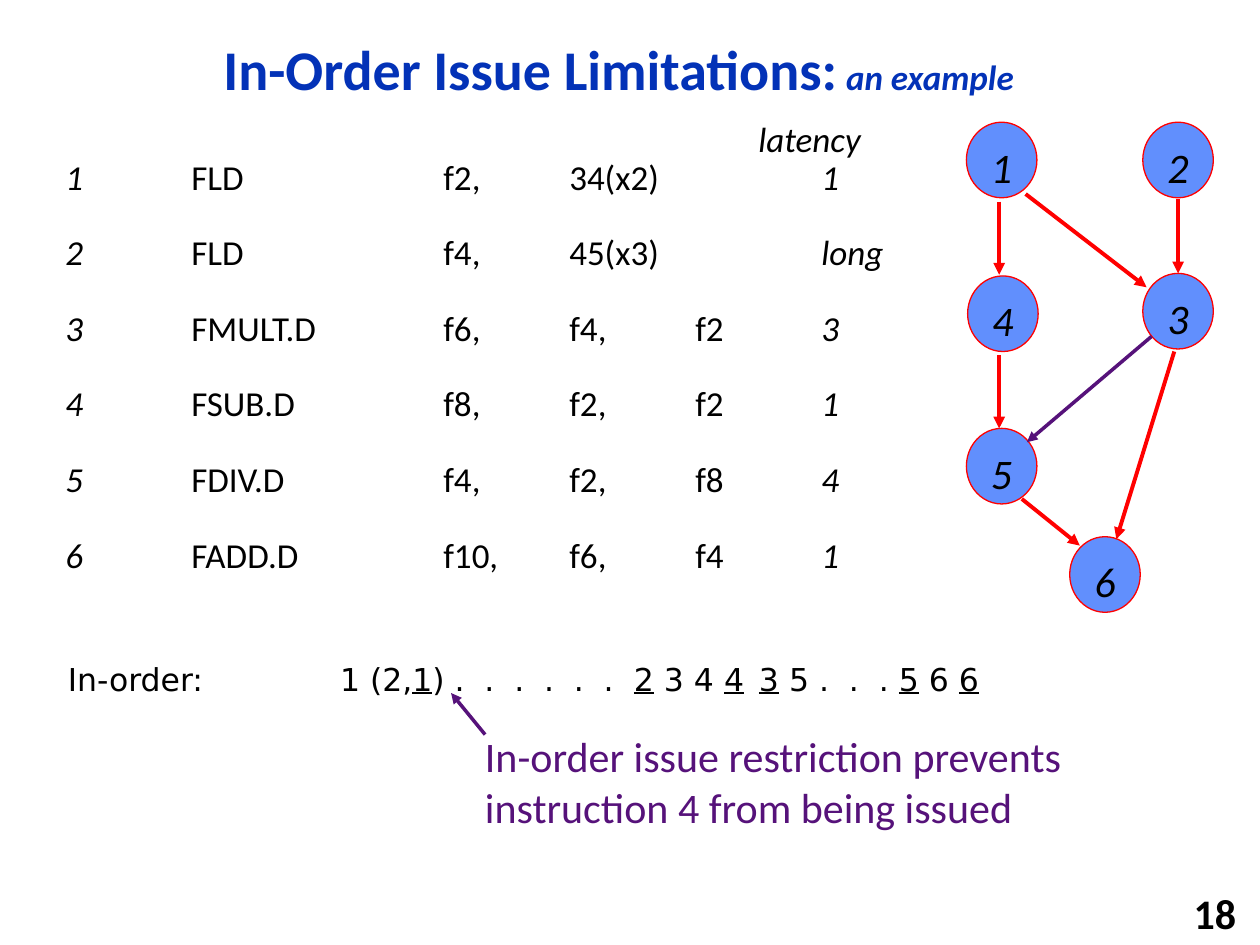
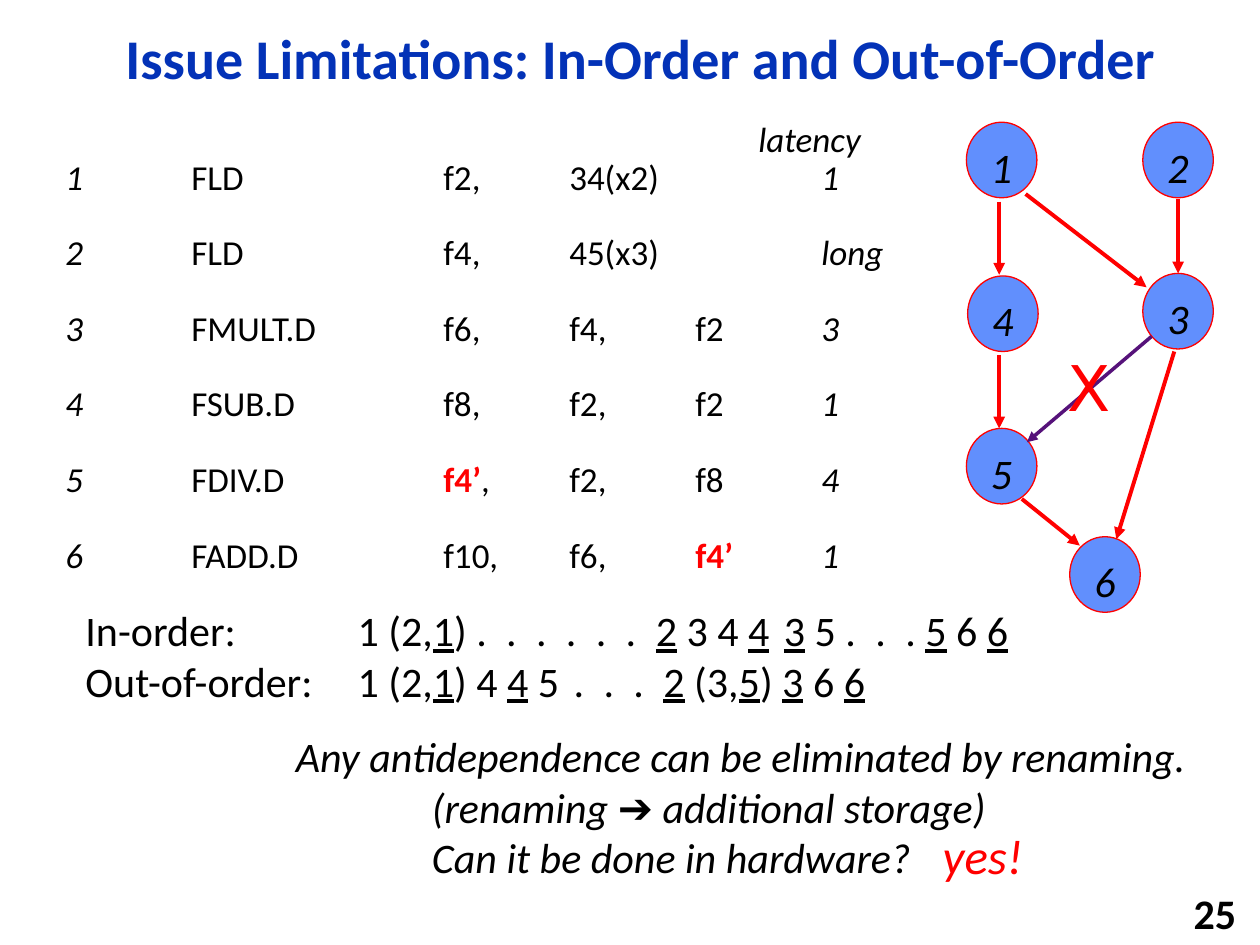
from lxml.etree import SubElement
from pptx import Presentation
from pptx.dml.color import RGBColor
from pptx.enum.shapes import MSO_CONNECTOR as CONN, MSO_SHAPE as SHAPE
from pptx.enum.text import MSO_ANCHOR as ANCHOR, MSO_AUTO_SIZE as AUTO, PP_ALIGN as ALIGN
from pptx.oxml.ns import qn
from pptx.util import Inches, Pt

BLACK, RED, PURPLE = "000000", "FF0000", "56127A"
TITLE_BLUE, NODE_BLUE = "0332B7", "618FFD"
BODY_FONT, WIDE_FONT = "Calibri", "DejaVu Sans"
RENAMED = "f4’"
SLOT_SPACING = "280"

NODES = [("1", 7.67, 0.97), ("2", 9.07, 0.97), ("3", 9.07, 2.17),
         ("4", 7.68, 2.19), ("5", 7.67, 3.4), ("6", 8.49, 4.26)]
DEPENDENCES = [(7.93, 1.6, 7.93, 2.18), (7.93, 2.82, 7.93, 3.4),
               (9.35, 1.58, 9.35, 2.17), (8.14, 1.54, 9.1, 2.28),
               (8.11, 3.96, 8.57, 4.33), (9.32, 2.79, 8.86, 4.28)]
ANTIDEPENDENCE = (9.14, 2.67, 8.15, 3.51)

PROGRAM = [("1", "FLD", "f2,", "34(x2)", "", "1"),
           ("2", "FLD", "f4,", "45(x3)", "", "long"),
           ("3", "FMULT.D", "f6,", "f4,", "f2", "3"),
           ("4", "FSUB.D", "f8,", "f2,", "f2", "1")]
ORIGINAL_TAIL = [("5", "FDIV.D", "f4,", "f2,", "f8", "4"),
                 ("6", "FADD.D", "f10,", "f6,", "f4", "1")]
RENAMED_TAIL = [("5", "FDIV.D", "f4’,", "f2,", "f8", "4"),
                ("6", "FADD.D", "f10,", "f6,", "f4’", "1")]

# In schedules, _ toggles underlining and ~ toggles wide letter spacing.
IN_ORDER = "In-order:\t1 (2,_1_) ~. . . . . . ~_2_ 3 4 _4_~ ~_3_ 5 ~. . ~. _5_ 6 _6_"
OUT_OF_ORDER = "Out-of-order:\t1 (2,_1_) 4 _4_ 5~ . . . ~_2_ (3,_5_) _3_ 6 _6_"


def rgb(value):
    return RGBColor.from_string(value)


def style(r, size, color=BLACK, font=BODY_FONT, bold=False, italic=False):
    f = r.font
    f.size, f.name, f.bold, f.italic = Pt(size), font, bold, italic
    f.color.rgb = rgb(color)


def add_run(p, text, size, **look):
    r = p.add_run()
    r.text = text
    style(r, size, **look)
    return r


def set_tabs(p, *stops):
    tabs = SubElement(p._p.get_or_add_pPr(), qn("a:tabLst"))
    for stop in stops:
        SubElement(tabs, qn("a:tab"), pos=str(Inches(stop)), algn="l")


def add_box(s, x, y, w, h):
    tf = s.shapes.add_textbox(Inches(x), Inches(y), Inches(w), Inches(h)).text_frame
    tf.word_wrap = True
    return tf


def add_paragraph(tf, first):
    return tf.paragraphs[0] if first else tf.add_paragraph()


def add_text(s, x, y, w, h, text, size, align=ALIGN.LEFT, **look):
    tf = add_box(s, x, y, w, h)
    tf.text = text
    for p in tf.paragraphs:
        p.alignment = align
        for r in p.runs:
            style(r, size, **look)
    return tf


def add_arrow(shapes, ends, color, width):
    line = shapes.add_connector(CONN.STRAIGHT, *map(Inches, ends))
    line.line.color.rgb = rgb(color)
    line.line.width = Pt(width)
    SubElement(line.line._get_or_add_ln(), qn("a:tailEnd"), type="triangle")
    SubElement(line._element.spPr, qn("a:effectLst"))


def add_node(shapes, label, x, y):
    sp = shapes.add_shape(SHAPE.OVAL, Inches(x), Inches(y), Inches(0.56), Inches(0.6))
    sp.shadow.inherit = False
    sp.fill.solid()
    sp.fill.fore_color.rgb = rgb(NODE_BLUE)
    sp.line.color.rgb = rgb(RED)
    sp.line.width = Pt(0.75)
    tf = sp.text_frame
    tf.margin_left = tf.margin_right = tf.margin_bottom = 0
    tf.margin_top = Inches(0.1)
    tf.vertical_anchor = ANCHOR.MIDDLE
    tf.text = label
    tf.paragraphs[0].alignment = ALIGN.CENTER
    style(tf.paragraphs[0].runs[0], 24, italic=True)


def add_graph(s):
    shapes = s.shapes.add_group_shape().shapes
    for node in NODES:
        add_node(shapes, *node)
    for ends in DEPENDENCES:
        add_arrow(shapes, ends, RED, 2.25)
    add_arrow(shapes, ANTIDEPENDENCE, PURPLE, 2)


def add_instruction(p, cells):
    set_tabs(p, 1, 3, 4, 5, 6)
    last = len(cells) - 1
    for i, cell in enumerate(cells):
        if i:
            add_run(p, "\t", 20)
        if cell.startswith(RENAMED):
            add_run(p, RENAMED, 20, color=RED, bold=True)
            cell = cell.removeprefix(RENAMED)
        if cell:
            add_run(p, cell, 20, italic=i in (0, last))


def add_program(s, rows):
    tf = add_box(s, 0.42, 0.92, 6.77, 3.74)
    header = tf.paragraphs[0]
    header.line_spacing = 0.9
    set_tabs(header, 5.5)
    add_run(header, "\tlatency", 20, italic=True)
    for i, cells in enumerate(rows):
        p = tf.add_paragraph()
        p.line_spacing = 0.9
        p.space_before = Pt(21.6 if i else 0)
        add_instruction(p, cells)


def add_schedule(s, x, y, w, h, lines, size, font):
    tf = add_box(s, x, y, w, h)
    for n, line in enumerate(lines):
        p = add_paragraph(tf, n == 0)
        set_tabs(p, 2.16)
        for i, part in enumerate(line.split("_")):
            for j, text in enumerate(part.split("~")):
                if text:
                    r = add_run(p, text, size, font=font)
                    r.font.underline = i % 2 == 1
                    if j % 2:
                        r._r.get_or_add_rPr().set("spc", SLOT_SPACING)


def add_slide(prs, number, title, subtitle, place, rows):
    s = prs.slides.add_slide(prs.slide_layouts[5])
    sp = s.shapes.title
    sp.left, sp.top, sp.width, sp.height = map(Inches, place)
    tf = sp.text_frame
    tf.auto_size = AUTO.NONE
    tf.vertical_anchor = ANCHOR.MIDDLE
    p = tf.paragraphs[0]
    p.alignment = ALIGN.CENTER
    p.line_spacing = 0.9
    add_run(p, title, 32, color=TITLE_BLUE, bold=True)
    if subtitle:
        add_run(p, subtitle, 20, color=TITLE_BLUE, bold=True, italic=True)
    tf = add_text(s, 7.83, 7.08, 2.08, 0.32, number, 24, ALIGN.RIGHT, bold=True)
    tf.vertical_anchor = ANCHOR.MIDDLE
    add_program(s, rows)
    add_graph(s)
    return s


def build_in_order(prs):
    s = add_slide(prs, "18", "In-Order Issue Limitations:", " an example",
                  (0.92, 0.17, 7.98, 0.81), PROGRAM + ORIGINAL_TAIL)
    add_schedule(s, 0.44, 5.19, 7.88, 0.4, [IN_ORDER], 18, WIDE_FONT)
    add_text(s, 3.75, 5.75, 5.75, 0.91,
             "In-order issue restriction prevents instruction 4 from being issued",
             24, color=PURPLE)
    add_arrow(s.shapes, (3.85, 5.83, 3.58, 5.5), PURPLE, 2)


def build_out_of_order(prs):
    s = add_slide(prs, "25", "Issue Limitations: In-Order and Out-of-Order", "",
                  (0.75, 0.08, 8.67, 0.81), PROGRAM + RENAMED_TAIL)
    tf = add_text(s, 2.25, 5.75, 7.43, 1.31,
                  "Any antidependence can be eliminated by renaming.\n"
                  "(renaming ➔ additional storage)\n"
                  "Can it be done in hardware?", 24, italic=True)
    for p in tf.paragraphs[1:]:
        p._p.get_or_add_pPr().set("marL", str(Inches(1.08)))
    add_text(s, 7.33, 6.5, 0.94, 0.57, "yes!", 28, ALIGN.CENTER, color=RED, italic=True)
    add_text(s, 8.37, 2.72, 0.54, 0.7, "X", 36, ALIGN.CENTER, color=RED, font=WIDE_FONT)
    add_schedule(s, 0.58, 4.75, 7.6, 0.91, [IN_ORDER, OUT_OF_ORDER], 24, BODY_FONT)


def main():
    prs = Presentation()
    prs.slide_width, prs.slide_height = Inches(10), Inches(7.5)
    build_in_order(prs)
    build_out_of_order(prs)
    prs.save("out.pptx")


if __name__ == "__main__":
    main()
